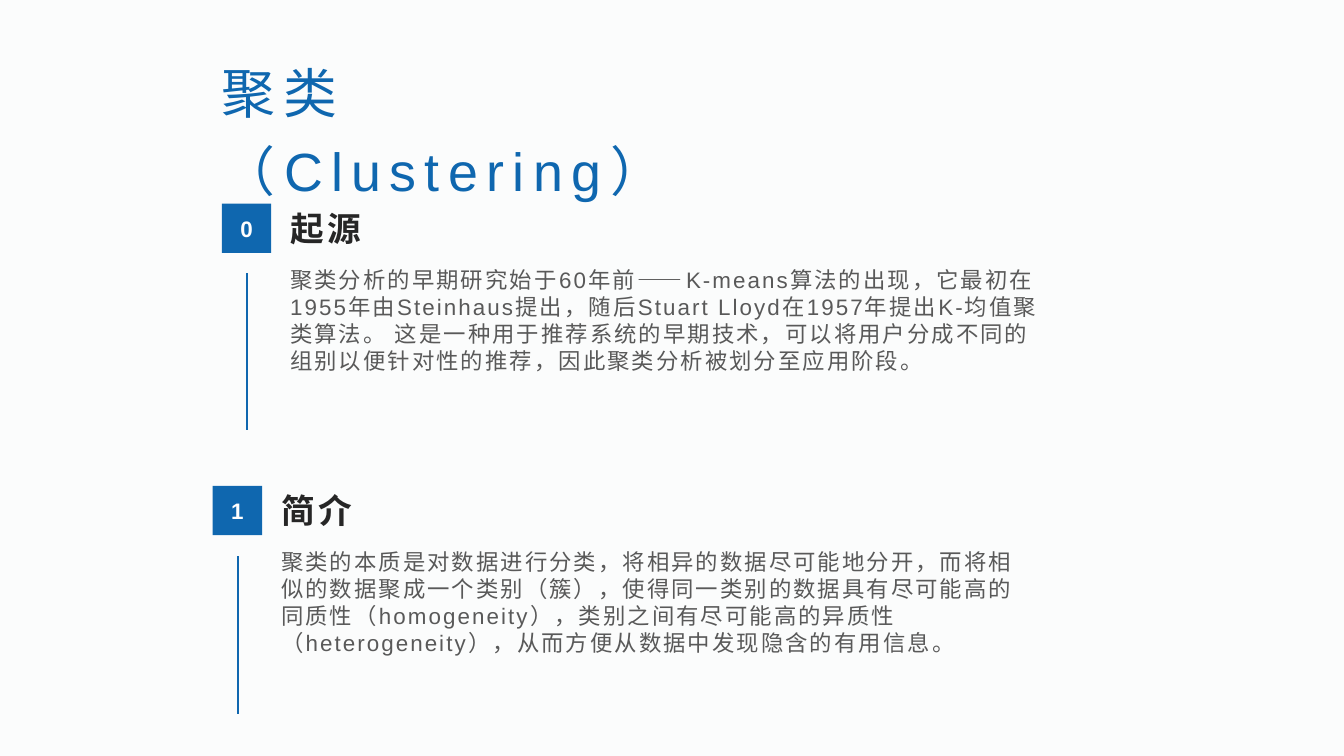
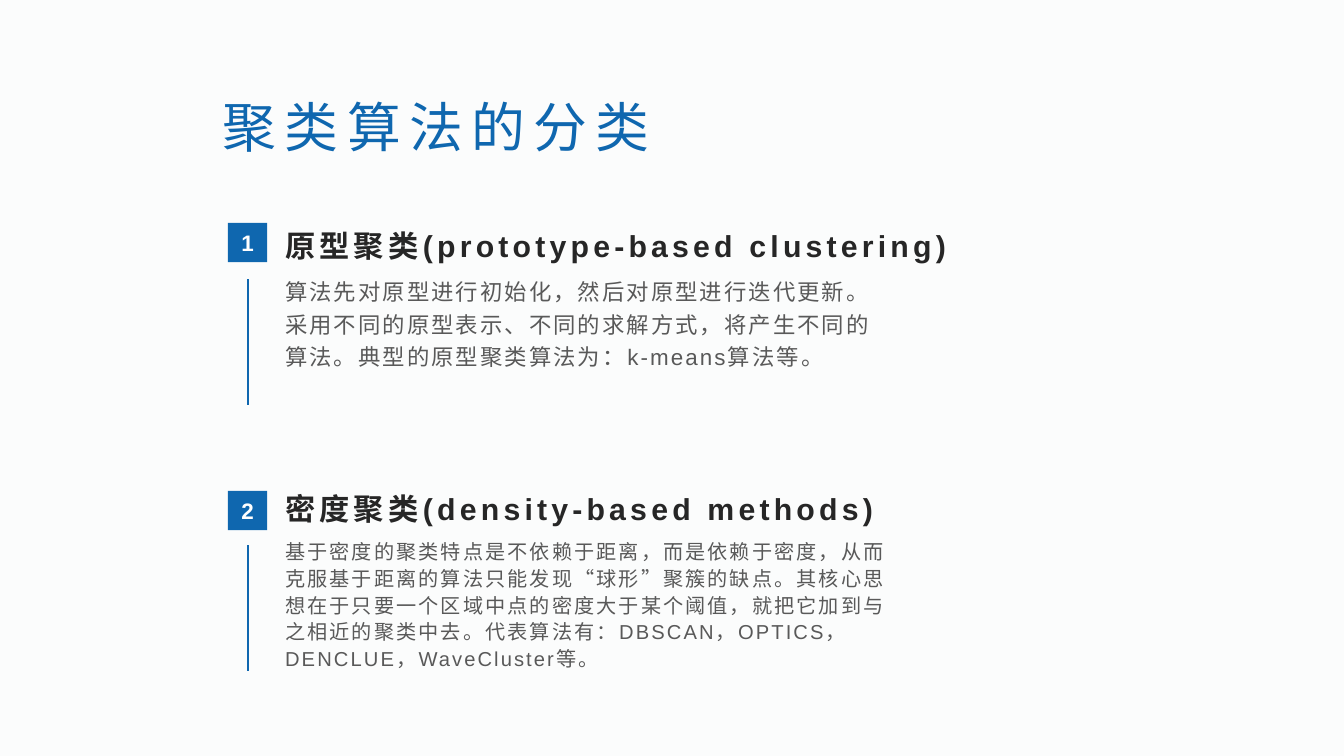
from dataclasses import dataclass

from lxml import etree
from pptx import Presentation
from pptx import util as u
from pptx.dml.color import RGBColor
from pptx.enum import lang, shapes, text
from pptx.oxml.ns import qn

PX = 9144  # 100 px to the inch


@dataclass(frozen=True)
class Theme:
    font: str = "Arial"
    back: str = "FBFCFC"
    blue: str = "0F67AF"
    dark: str = "262626"
    grey: str = "595959"
    white: str = "FFFFFF"
    title: float = 38.4
    badge: float = 16
    rule: float = 2


@dataclass(frozen=True)
class Grid:
    """Sizes that all items on one slide share."""
    badge: int
    indent: int
    rule: int
    width: int
    head: int
    body: int
    size: float


@dataclass(frozen=True)
class Item:
    left: int
    top: int
    head: int
    rule: int
    body: int
    label: str
    name: str
    words: str
    size: float = 16
    space: float = 1.0


T = Theme()
WIDE = Grid(badge=49, indent=58, rule=156, width=766, head=69, body=174, size=24)
TIGHT = Grid(badge=39, indent=47, rule=125, width=617, head=56, body=140, size=21.6)
HEAD_W = 766

ORIGIN = [
    Item(220, 202, 177, 271, 264, "0", "起源",
         "聚类分析的早期研究始于60年前——K-means算法的出现，它最初在1955年由Steinhaus提出，"
         "随后Stuart Lloyd在1957年提出K-均值聚类算法。 这是一种用于推荐系统的早期技术，"
         "可以将用户分成不同的组别以便针对性的推荐，因此聚类分析被划分至应用阶段。"),
    Item(211, 482, 457, 552, 544, "1", "简介",
         "聚类的本质是对数据进行分类，将相异的数据尽可能地分开，而将相似的数据聚成一个类别（簇），"
         "使得同一类别的数据具有尽可能高的同质性（homogeneity），"
         "类别之间有尽可能高的异质性（heterogeneity），从而方便从数据中发现隐含的有用信息。"),
]
KINDS = [
    Item(226, 221, 205, 277, 271, "1", "原型聚类(prototype-based clustering)",
         "算法先对原型进行初始化，然后对原型进行迭代更新。采用不同的原型表示、不同的求解方式，"
         "将产生不同的算法。典型的原型聚类算法为：k-means算法等。", space=1.2),
    Item(226, 487, 466, 541, 533, "2", "密度聚类(density-based methods)",
         "基于密度的聚类特点是不依赖于距离，而是依赖于密度，从而克服基于距离的算法只能发现"
         "“球形”聚簇的缺点。其核心思想在于只要一个区域中点的密度大于某个阈值，"
         "就把它加到与之相近的聚类中去。代表算法有：DBSCAN，OPTICS，DENCLUE，WaveCluster等。",
         size=14.4, space=1.1),
]


def px(*nums):
    return [u.Emu(n * PX) for n in nums]


def rgb(code):
    return RGBColor.from_string(code)


def write(shape, words, size, color, bold=False, track=0, space=1.0,
          inset=(10, 5, 10, 5), anchor=text.MSO_ANCHOR.TOP,
          align=text.PP_ALIGN.LEFT):
    """Fill a shape with one paragraph; track is letter spacing in points."""
    frame = shape.text_frame
    frame.auto_size = text.MSO_AUTO_SIZE.NONE
    frame.word_wrap = True
    frame.vertical_anchor = anchor
    (frame.margin_left, frame.margin_top,
     frame.margin_right, frame.margin_bottom) = px(*inset)
    frame.text = words
    para = frame.paragraphs[0]
    para.alignment = align
    para.line_spacing = space
    font = para.font
    font.name, font.size, font.bold = T.font, u.Pt(size), bold
    font.color.rgb = rgb(color)
    font.language_id = lang.MSO_LANGUAGE_ID.SIMPLIFIED_CHINESE
    if track:
        para._p.pPr.find(qn("a:defRPr")).set("spc", str(round(track * 100)))


def add_title(slide, words, left, top, width):
    title = slide.shapes.title
    title.left, title.top, title.width, title.height = px(left, top, width, 107)
    write(title, words, T.title, T.blue, track=6, space=1.2,
          inset=(0, 5, 10, 5), anchor=text.MSO_ANCHOR.MIDDLE)


def add_badge(slide, left, top, side, label):
    badge = slide.shapes.add_shape(shapes.MSO_SHAPE.RECTANGLE,
                                   *px(left, top, side, side))
    badge.shadow.inherit = False
    badge.fill.solid()
    badge.fill.fore_color.rgb = rgb(T.blue)
    badge.line.fill.background()
    write(badge, label, T.badge, T.white, bold=True, inset=(5, 5, 5, 5),
          anchor=text.MSO_ANCHOR.MIDDLE, align=text.PP_ALIGN.CENTER)


def add_rule(slide, x, top, length):
    rule = slide.shapes.add_connector(shapes.MSO_CONNECTOR.STRAIGHT,
                                      *px(x, top, x, top + length))
    rule.line.color.rgb = rgb(T.blue)
    rule.line.width = u.Pt(T.rule)
    etree.SubElement(rule._element.spPr, qn("a:effectLst"))


def add_item(slide, item, grid):
    add_rule(slide, item.left + (grid.badge + 1) // 2, item.rule, grid.rule)
    left = item.left + grid.indent
    head = slide.shapes.add_textbox(*px(left, item.head, HEAD_W, grid.head))
    write(head, item.name, grid.size, T.dark, bold=True, track=3, space=1.2,
          inset=(10, 5, 10, 0), anchor=text.MSO_ANCHOR.BOTTOM)
    body = slide.shapes.add_textbox(*px(left, item.body, grid.width, grid.body))
    write(body, item.words, item.size, T.grey, track=1.5, space=item.space,
          inset=(10, 0, 10, 5))
    add_badge(slide, item.left, item.top, grid.badge, item.label)


def add_page(deck, title, place, items, grid):
    slide = deck.slides.add_slide(deck.slide_layouts[5])
    add_title(slide, title, *place)
    for item in items:
        add_item(slide, item, grid)


def main():
    deck = Presentation()
    deck.slide_width, deck.slide_height = px(1333, 750)
    back = deck.slide_master.background.fill
    back.solid()
    back.fore_color.rgb = rgb(T.back)
    add_page(deck, "聚类（Clustering）", (220, 70, 565), ORIGIN, WIDE)
    add_page(deck, "聚类算法的分类", (221, 65, 463), KINDS, TIGHT)
    deck.save("out.pptx")


if __name__ == "__main__":
    main()
